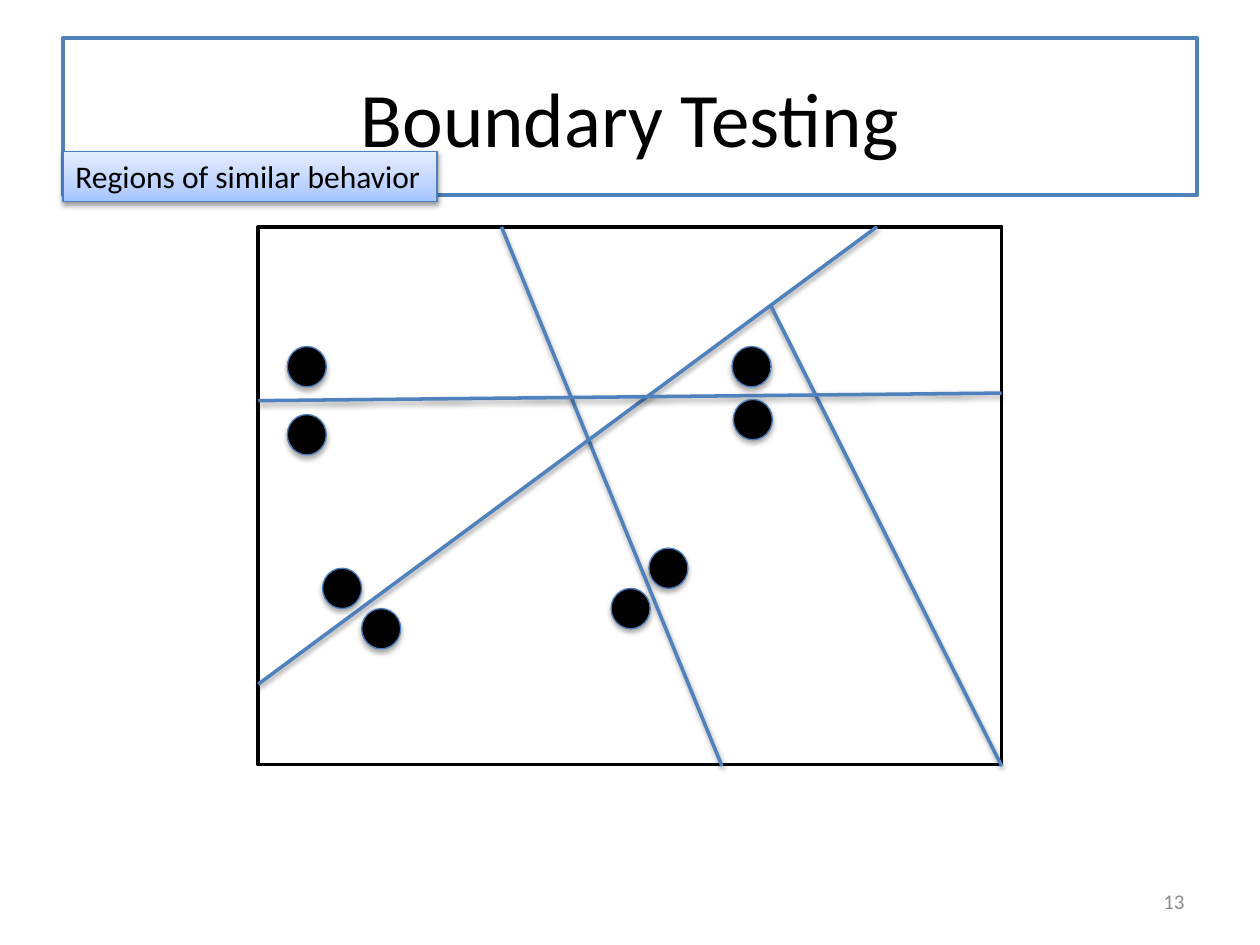
from copy import deepcopy
from typing import NamedTuple

from pptx import Presentation
from pptx.dml.color import RGBColor
from pptx.enum.shapes import MSO_CONNECTOR, MSO_SHAPE
from pptx.enum.text import MSO_ANCHOR, MSO_AUTO_SIZE, PP_ALIGN
from pptx.oxml import parse_xml
from pptx.oxml.ns import nsdecls, qn
from pptx.util import Inches, Pt

RECT, OVAL = MSO_SHAPE.RECTANGLE, MSO_SHAPE.OVAL
STRAIGHT = MSO_CONNECTOR.STRAIGHT
LEFT, CENTER, RIGHT = PP_ALIGN.LEFT, PP_ALIGN.CENTER, PP_ALIGN.RIGHT
MIDDLE = MSO_ANCHOR.MIDDLE

FONT = "Calibri"
BLACK, WHITE, GRAY = "000000", "FFFFFF", "8C8C8C"
BLUE, EDGE_BLUE = "4F81BD", "4B7EBC"
LABEL_GRADIENT = [(0, "A4C4FF"), (0.35, "BFD4FF"), (1, "E6EEFF")]
DOT_WIDTH, DOT_HEIGHT = 0.31, 0.32


class Box(NamedTuple):
    left: float
    top: float
    width: float
    height: float


class Boundary(NamedTuple):
    x1: float
    y1: float
    x2: float
    y2: float


class TestPoint(NamedTuple):
    left: float
    top: float


TITLE = Box(0.5, 0.3, 9, 1.25)
PAGE_NUMBER = Box(7.17, 6.95, 2.33, 0.4)
INPUT_SPACE = Box(2.05, 1.8, 5.9, 4.27)
REGION_LABEL = Box(0.5, 1.2, 2.97, 0.4)

BOUNDARIES = [
    Boundary(3.98, 1.8, 5.73, 6.08),
    Boundary(6.96, 1.8, 2.05, 5.43),
    Boundary(6.12, 2.43, 7.95, 6.08),
    Boundary(2.05, 3.18, 7.95, 3.12),
]

# Pairs of points on either side of a boundary
TEST_POINTS = [
    TestPoint(2.28, 2.75), TestPoint(2.28, 3.29),
    TestPoint(2.56, 4.51), TestPoint(2.87, 4.83),
    TestPoint(5.81, 2.75), TestPoint(5.82, 3.17),
    TestPoint(5.15, 4.35), TestPoint(4.85, 4.67),
]


def color(value: str) -> RGBColor:
    return RGBColor.from_string(value)


def cast_shadow(shape, opacity: int, distance: float) -> None:
    """Drop a soft black shadow straight down."""
    properties = shape._element.spPr
    for effects in properties.findall(qn("a:effectLst")):
        properties.remove(effects)
    properties.append(parse_xml(
        f'<a:effectLst {nsdecls("a")}>'
        f'<a:outerShdw blurRad="{Pt(3.1)}" dist="{Pt(distance)}" dir="5400000" rotWithShape="0">'
        f'<a:srgbClr val="{BLACK}"><a:alpha val="{opacity * 1000}"/></a:srgbClr>'
        '</a:outerShdw></a:effectLst>'))


def set_line(shape, value: str, width: float) -> None:
    shape.line.color.rgb = color(value)
    shape.line.width = Pt(width)


def add_shape(slide, kind, box: Box, fill: str, line: str, width: float):
    shape = slide.shapes.add_shape(kind, *map(Inches, box))
    shape.shadow.inherit = False
    shape.fill.solid()
    shape.fill.fore_color.rgb = color(fill)
    set_line(shape, line, width)
    return shape


def fill_gradient(shape, stops: list[tuple[float, str]]) -> None:
    """Fill from the bottom up with the given stops."""
    shape.fill.gradient()
    shape.fill.gradient_angle = 90
    first = shape._element.spPr.find(".//" + qn("a:gs"))
    first.addnext(deepcopy(first))
    for stop, (position, value) in zip(shape.fill.gradient_stops, stops):
        stop.position = position
        stop.color.rgb = color(value)


def write(shape, text: str, size: float, value: str, align) -> None:
    frame = shape.text_frame
    frame.word_wrap = True
    frame.vertical_anchor = MIDDLE
    paragraph = frame.paragraphs[0]
    paragraph.alignment = align
    run = paragraph.add_run()
    run.text = text
    run.font.name = FONT
    run.font.size = Pt(size)
    run.font.color.rgb = color(value)


def add_boundary(slide, boundary: Boundary) -> None:
    line = slide.shapes.add_connector(STRAIGHT, *map(Inches, boundary))
    set_line(line, BLUE, 2)
    cast_shadow(line, 38, 1.6)


def add_test_point(slide, point: TestPoint) -> None:
    box = Box(point.left, point.top, DOT_WIDTH, DOT_HEIGHT)
    dot = add_shape(slide, OVAL, box, BLACK, EDGE_BLUE, 0.75)
    cast_shadow(dot, 35, 1.8)


def main() -> None:
    deck = Presentation()
    deck.slide_width, deck.slide_height = Inches(10), Inches(7.5)
    slide = deck.slides.add_slide(deck.slide_layouts[6])

    # Title and page number
    title = add_shape(slide, RECT, TITLE, WHITE, BLUE, 2.25)
    write(title, "Boundary Testing", 44, BLACK, CENTER)
    page_number = slide.shapes.add_textbox(*map(Inches, PAGE_NUMBER))
    write(page_number, "13", 12, GRAY, RIGHT)

    # Input space divided by boundaries
    add_shape(slide, RECT, INPUT_SPACE, WHITE, BLACK, 2)
    for boundary in BOUNDARIES:
        add_boundary(slide, boundary)

    # Label for the regions
    label = add_shape(slide, RECT, REGION_LABEL, WHITE, EDGE_BLUE, 0.75)
    fill_gradient(label, LABEL_GRADIENT)
    cast_shadow(label, 38, 1.6)
    write(label, "Regions of similar behavior", 18, BLACK, LEFT)
    label.text_frame.word_wrap = False
    label.text_frame.auto_size = MSO_AUTO_SIZE.SHAPE_TO_FIT_TEXT

    # Test points beside the boundaries
    for point in TEST_POINTS:
        add_test_point(slide, point)

    deck.save("out.pptx")


if __name__ == "__main__":
    main()
